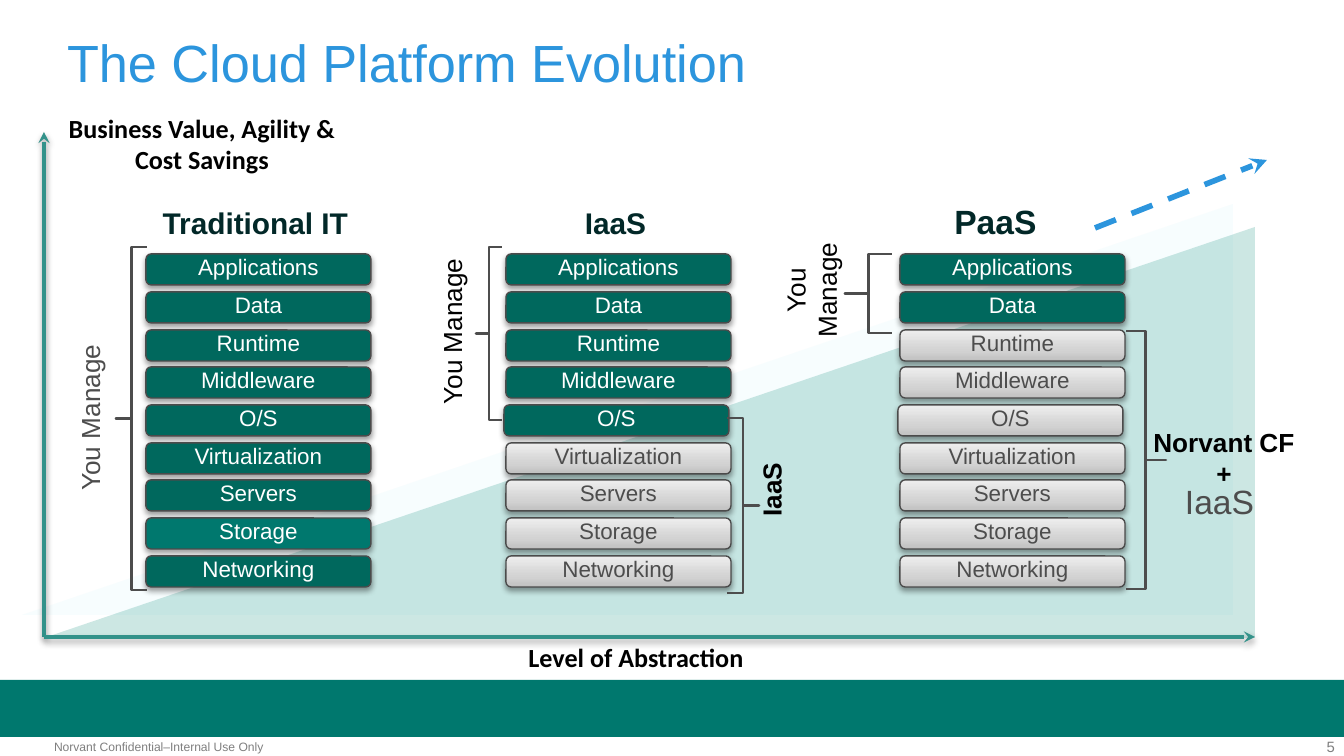
"""Build the cloud platform evolution slide."""
import lxml.etree
import pptx
import pptx.dml.color
import pptx.enum.shapes
import pptx.enum.text
import pptx.oxml.ns
import pptx.util

SCALE = 914400 / 134.4
SHAPE = pptx.enum.shapes.MSO_SHAPE
ALIGN = pptx.enum.text.PP_ALIGN
ANCHOR = pptx.enum.text.MSO_ANCHOR
qn = pptx.oxml.ns.qn

COLORS = {
    "title": "2C95DD", "band": "00786E", "green": "00685D", "outline": "4B4B4B",
    "gray": "4D4D4D", "heading": "022828", "axis": "33928A", "pale": "B9EDFE",
    "teal": "008774", "footer": "7F7F7F", "black": "000000", "white": "FFFFFF",
}
GRADIENT = [(0, "C0C0C0"), (35, "D3D3D3"), (100, "EEEEEE")]

TITLE = "The Cloud Platform Evolution"
LAYERS = ["Applications", "Data", "Runtime", "Middleware", "O/S",
          "Virtualization", "Servers", "Storage", "Networking"]
COLUMNS = [
    {"name": "Traditional IT", "left": 146, "size": 16, "indent": 28, "managed": 9,
     "shift": {}, "fills": {"Storage": "band"}},
    {"name": "IaaS", "left": 506, "size": 16, "indent": 28, "managed": 5,
     "shift": {"O/S": -2}, "fills": {}},
    {"name": "PaaS", "left": 900, "size": 18, "indent": 0, "managed": 2,
     "shift": {"O/S": -2}, "fills": {}},
]
BAR_TOP, BAR_SPAN, BAR_W, BAR_H = 254, 302, 225, 31
HEAD_TOP, HEAD_W, HEAD_H = 177, 345, 413
HEAD_OFFSET = 77

WEDGES = [((22, 204, 1211, 411), "pale", 10), ((44, 227, 1211, 411), "teal", 20)]
BRACES = [
    ((116, 247, 31, 343), False), ((476, 247, 26, 173), False),
    ((727, 418, 32, 175), True), ((1126, 331, 40, 258), True),
    ((845, 254, 47, 79), False),
]
BOLD = {"bold": True}
CALIBRI = {"bold": True, "name": "Calibri"}
LABELS = [
    (["You Manage"], (16, 388, 161, 59), 270, 14, "gray", {}, ALIGN.CENTER, (0, 7)),
    (["You Manage"], (378, 302, 161, 59), 270, 14, "black", {}, ALIGN.CENTER, (0, 7)),
    (["IaaS"], (731, 460, 94, 59), 270, 14, "black", BOLD, ALIGN.CENTER, (0, 7)),
    (["You Manage"], (755, 245, 125, 90), 270, 14, "black", {}, ALIGN.CENTER, (0, 7)),
    (["Norvant CF", "+"], (1142, 419, 164, 90), 0, 14, "black", BOLD, ALIGN.CENTER, (0, 7)),
    (["IaaS"], (1172, 474, 105, 54), 0, 18, "gray", {}, ALIGN.LEFT, (13, 7)),
    (["Business Value, Agility & Cost Savings"], (54, 109, 296, 69), 0, 14, "black",
     CALIBRI, ALIGN.CENTER, (5, 3)),
    (["Level of Abstraction"], (488, 638, 296, 38), 0, 14, "black",
     CALIBRI, ALIGN.CENTER, (5, 3)),
    (["5"], (1257, 738, 78, 17), 0, 8, "footer", {}, ALIGN.RIGHT, (0, 0)),
    (["Norvant Confidential–Internal Use Only"], (54, 739, 335, 15), 0, 6.5, "footer",
     {}, ALIGN.LEFT, (0, 0)),
]
ARROWS = [
    ((1095, 228, 1267, 160), "title", 3, True),
    ((44, 637, 44, 132), "axis", 2, False),
    ((44, 637, 1255, 637), "axis", 2, False),
]


def px(n):
    return pptx.util.Emu(round(n * SCALE))


def box(b):
    return [px(n) for n in b]


def rgb(name):
    return pptx.dml.color.RGBColor.from_string(COLORS[name])


def child(parent, tag, **attrs):
    return lxml.etree.SubElement(parent, qn(tag), attrs)


def add_shadow(effects):
    sh = child(effects, "a:outerShdw", blurRad="39370", dist="20320", dir="5400000",
               rotWithShape="0")
    child(child(sh, "a:srgbClr", val=COLORS["black"]), "a:alpha", val="38000")


def write(s, lines, size, color, align, margins=(13, 7), anchor=ANCHOR.TOP,
          spacing=1.0, **fmt):
    tf = s.text_frame
    x, y = margins
    frame = {"word_wrap": True, "auto_size": pptx.enum.text.MSO_AUTO_SIZE.NONE,
             "vertical_anchor": anchor, "margin_left": px(x), "margin_right": px(x),
             "margin_top": px(y), "margin_bottom": px(y)}
    for key, value in frame.items():
        setattr(tf, key, value)
    for i, line in enumerate(lines):
        p = tf.add_paragraph() if i else tf.paragraphs[0]
        p.alignment, p.line_spacing = align, spacing
        r = p.add_run()
        r.text = line
        font = {"name": "Arial", "size": pptx.util.Pt(size), "bold": False, **fmt}
        for key, value in font.items():
            setattr(r.font, key, value)
        r.font.color.rgb = rgb(color)


def add_shape(kind, b, fill=None, line=None, width=0.75, flip=False):
    s = slide.shapes.add_shape(kind, *box(b))
    s.shadow.inherit = False
    if fill:
        s.fill.solid()
        s.fill.fore_color.rgb = rgb(fill)
    else:
        s.fill.background()
    if line:
        s.line.color.rgb = rgb(line)
        s.line.width = pptx.util.Pt(width)
    else:
        s.line.fill.background()
    if flip:
        s._element.spPr.find(qn("a:xfrm")).set("flipH", "1")
    return s


def add_bar(text, left, top, fill):
    s = add_shape(SHAPE.ROUNDED_RECTANGLE, (left, top, BAR_W, BAR_H), fill, "outline")
    sp = s._element.spPr
    if not fill:
        s.fill.gradient()
        s.fill.gradient_angle = 90
        stops = sp.find(qn("a:gradFill")).find(qn("a:gsLst"))
        stops.clear()
        for pos, color in GRADIENT:
            child(child(stops, "a:gs", pos=str(pos * 1000)), "a:srgbClr", val=color)
    add_shadow(sp.find(qn("a:effectLst")))
    write(s, [text], 12, "white" if fill else "gray", ALIGN.CENTER,
          anchor=ANCHOR.MIDDLE, spacing=0.8)


def add_column(name, left, size, indent, managed, shift, fills):
    s = add_shape(SHAPE.ROUNDED_RECTANGLE, (left - HEAD_OFFSET, HEAD_TOP, HEAD_W, HEAD_H))
    write(s, [name], size, "heading", ALIGN.CENTER, bold=True)
    s.text_frame.margin_left = px(13 + indent)
    s.text_frame.margin_top = px(7 + 2 * (18 - size))
    for i, layer in enumerate(LAYERS):
        top = BAR_TOP + round(i * BAR_SPAN / (len(LAYERS) - 1))
        fill = fills.get(layer, "green") if i < managed else None
        add_bar(layer, left + shift.get(layer, 0), top, fill)


def add_arrow(ends, color, width, dashed):
    s = slide.shapes.add_connector(pptx.enum.shapes.MSO_CONNECTOR.STRAIGHT, *box(ends))
    s.line.color.rgb = rgb(color)
    s.line.width = pptx.util.Pt(width)
    if dashed:
        s.line.dash_style = pptx.enum.dml.MSO_LINE.DASH
    sp = s._element.spPr
    child(sp.find(qn("a:ln")), "a:tailEnd", type="stealth")
    effects = child(sp, "a:effectLst")
    if not dashed:
        add_shadow(effects)


prs = pptx.Presentation()
prs.slide_width, prs.slide_height = px(1344), px(756)
slide = prs.slides.add_slide(prs.slide_layouts[5])

add_shape(SHAPE.RECTANGLE, (0, 680, 1344, 57), "band")
for b, color, alpha in WEDGES:
    s = add_shape(SHAPE.RIGHT_TRIANGLE, b, color, flip=True)
    clr = s._element.spPr.find(qn("a:solidFill")).find(qn("a:srgbClr"))
    child(clr, "a:alpha", val=str(alpha * 1000))

title = slide.shapes.title
title.left, title.top, title.width, title.height = box((54, 24, 1236, 67))
write(title, [TITLE], 28, "title", ALIGN.LEFT, (13, 13), spacing=0.9)

for column in COLUMNS:
    add_column(**column)
for b, flip in BRACES:
    s = add_shape(SHAPE.LEFT_BRACE, b, None, "gray", 1.5, flip)
    s.adjustments[0], s.adjustments[1] = 0, 0.5
for lines, b, turn, size, color, fmt, align, margins in LABELS:
    s = slide.shapes.add_textbox(*box(b))
    s.rotation = turn
    write(s, lines, size, color, align, margins, **fmt)
for arrow in ARROWS:
    add_arrow(*arrow)

prs.save("out.pptx")
